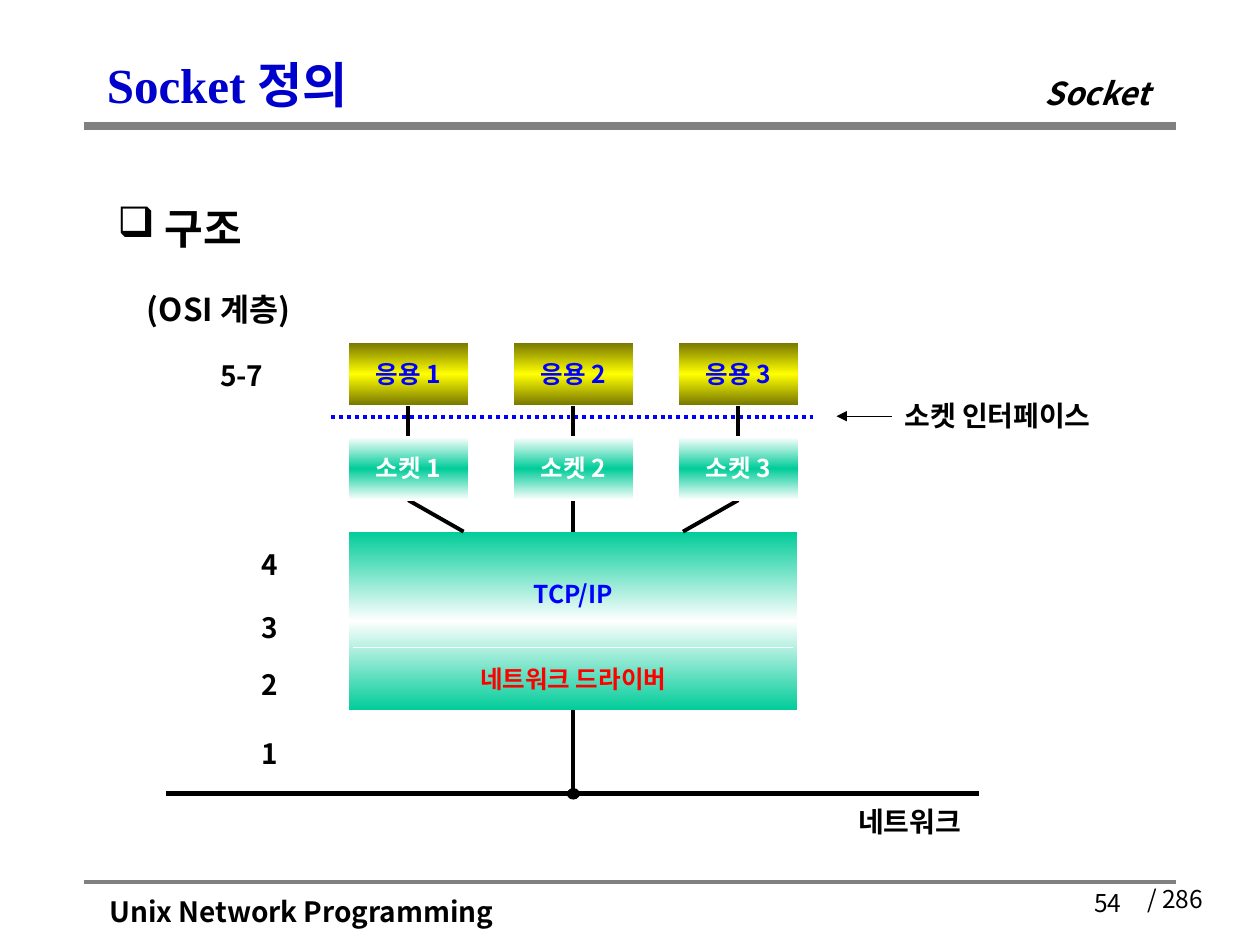
from copy import deepcopy

from lxml import etree
from pptx import Presentation
from pptx.dml.color import RGBColor
from pptx.enum.dml import MSO_LINE
from pptx.enum.shapes import MSO_CONNECTOR, MSO_SHAPE
from pptx.enum.text import MSO_ANCHOR, MSO_AUTO_SIZE, PP_ALIGN
from pptx.oxml.ns import qn
from pptx.util import Pt

BLACK = RGBColor(0x00, 0x00, 0x00)
WHITE = RGBColor(0xFF, 0xFF, 0xFF)
GRAY = RGBColor(0x80, 0x80, 0x80)
BLUE = RGBColor(0x00, 0x00, 0xFF)
NAVY = RGBColor(0x00, 0x00, 0xCC)
RED = RGBColor(0xFF, 0x00, 0x00)
OLIVE = RGBColor(0x76, 0x76, 0x00)
YELLOW = RGBColor(0xFF, 0xFF, 0x00)
GREEN = RGBColor(0x00, 0xCC, 0x99)

LEFT, CENTER, RIGHT = PP_ALIGN.LEFT, PP_ALIGN.CENTER, PP_ALIGN.RIGHT
TOP, MIDDLE = MSO_ANCHOR.TOP, MSO_ANCHOR.MIDDLE
GROW, FIXED = MSO_AUTO_SIZE.SHAPE_TO_FIT_TEXT, MSO_AUTO_SIZE.NONE
RECTANGLE, OVAL = MSO_SHAPE.RECTANGLE, MSO_SHAPE.OVAL
STRAIGHT = MSO_CONNECTOR.STRAIGHT
DOTTED = MSO_LINE.ROUND_DOT

SANS = "Noto Sans CJK KR"
SERIF = "Times New Roman"


class SlideBuilder:
    """Holds the text style and the current slide; lengths are points."""

    def __init__(self, page):
        self.page = page
        self.font = SANS
        self.color = BLACK

    def text(self, words, left, top, width, height, size=16, color=None,
             font=None, bold=True, italic=False, align=LEFT, anchor=TOP,
             wrap=True, fit=GROW, bullet=None):
        box = self.page.shapes.add_textbox(
            Pt(left), Pt(top), Pt(width), Pt(height))
        frame = box.text_frame
        frame.word_wrap = wrap
        frame.auto_size = fit
        frame.vertical_anchor = anchor
        para = frame.paragraphs[0]
        para.alignment = align
        if bullet:
            props = para._p.get_or_add_pPr()
            props.set("marL", str(Pt(27)))
            props.set("indent", str(-Pt(27)))
            etree.SubElement(props, qn("a:buChar"), char=bullet)
        span = para.add_run()
        span.text = words
        span.font.size = Pt(size)
        span.font.bold = bold
        span.font.italic = italic
        span.font.color.rgb = color or self.color
        span.font.name = font or self.font
        etree.SubElement(span.font._element, qn("a:ea"), typeface=self.font)

    def shape(self, kind, left, top, width, height, edge):
        shape = self.page.shapes.add_shape(
            kind, Pt(left), Pt(top), Pt(width), Pt(height))
        shape.shadow.inherit = False
        shape.line.color.rgb = edge
        shape.line.width = Pt(0.75)
        return shape

    def block(self, left, top, width, height, outer, inner):
        """Rectangle shaded vertically from outer to inner and back."""
        fill = self.shape(RECTANGLE, left, top, width, height, WHITE).fill
        fill.gradient()
        fill.gradient_angle = 90
        stop_list = fill._xPr.find(qn("a:gradFill")).find(qn("a:gsLst"))
        stop_list.append(deepcopy(stop_list[0]))
        shades = zip(fill.gradient_stops, (0, 0.5, 1), (outer, inner, outer))
        for stop, position, color in shades:
            stop.position = position
            stop.color.rgb = color

    def dot(self, left, top, width, height):
        fill = self.shape(OVAL, left, top, width, height, BLACK).fill
        fill.solid()
        fill.fore_color.rgb = BLACK

    def line(self, x1, y1, x2, y2, width=2.25, color=None, dash=None,
             arrow=False):
        line = self.page.shapes.add_connector(
            STRAIGHT, Pt(x1), Pt(y1), Pt(x2), Pt(y2))
        line.line.color.rgb = color or self.color
        line.line.width = Pt(width)
        if dash:
            line.line.dash_style = dash
        if arrow:
            etree.SubElement(line.line._get_or_add_ln(), qn("a:tailEnd"),
                             type="triangle")
        etree.SubElement(line._element.spPr, qn("a:effectLst"))


def main():
    deck = Presentation()
    deck.slide_width, deck.slide_height = Pt(720), Pt(540)
    slide = SlideBuilder(deck.slides.add_slide(deck.slide_layouts[6]))

    # Header and footer
    slide.line(48, 504, 672, 504, color=GRAY)
    slide.line(48, 72, 672, 72, width=4.5, color=GRAY)
    slide.text("Unix Network Programming", 55.5, 507.6, 240.5, 26.6,
               wrap=False)
    slide.text("/ 286", 648.5, 501.8, 47.5, 24.5, size=14, bold=False,
               wrap=False)
    slide.text("54", 498, 504, 150, 36, size=14, bold=False, align=RIGHT,
               fit=FIXED)
    slide.text("Socket 정의", 54, 24, 612, 48, size=28, color=NAVY,
               font=SERIF, anchor=MIDDLE, fit=FIXED)
    slide.text("Socket", 589.7, 39, 75.6, 28.8, size=18, italic=True,
               wrap=False)

    # Section heading
    slide.text("구조", 60, 112, 612, 372, size=24, fit=FIXED, bullet="❑")

    # Protocol stack and network line
    middle, step, stack_left, stack_width = 327.6, 94.3, 198.8, 257.2
    stack_top, stack_bottom, network = 303.8, 406, 453.6
    slide.block(stack_left, stack_top, stack_width,
                stack_bottom - stack_top, GREEN, WHITE)
    slide.line(201.6, 370, 452.9, 370, width=0.75, color=WHITE)
    slide.line(95, network, 559.5, network, width=3)
    slide.line(middle, stack_bottom, middle, network)
    slide.dot(middle - 3.3, network - 2.9, 6.6, 5.8)
    for label, top, color in (("네트워크 드라이버", 375.8, RED),
                              ("TCP/IP", 327.6, BLUE)):
        slide.text(label, middle - 69, top, 138, 24.5, size=14, color=color,
                   align=CENTER)

    # Applications, each joined to its socket and the stack
    app_top, socket_top, box_width, box_height = 195.8, 249.8, 68.8, 36
    slide.line(189.4, 238.3, 465.8, 238.3, color=BLUE, dash=DOTTED)
    for number in (1, 2, 3):
        offset = number - 2
        x = middle + offset * step
        slide.line(x, app_top + box_height, x, socket_top)
        slide.line(x, socket_top + box_height,
                   middle + offset * 62.7, stack_top)
        for name, top, outer, inner, color in (
                ("응용", app_top, OLIVE, YELLOW, BLUE),
                ("소켓", socket_top, WHITE, GREEN, WHITE)):
            slide.block(x - box_width / 2, top, box_width, box_height,
                        outer, inner)
            slide.text(f"{name} {number}", x - 31.3, top + 5.8, 62.6, 24.5,
                       size=14, color=color, align=CENTER)

    # Side labels
    slide.text("소켓 인터페이스", 509.8, 224, 148.3, 26.6)
    slide.line(509.8, 237.8, 478, 237.8, width=0.75, arrow=True)
    slide.text("네트워크", 460, 456.5, 119.5, 26.6, align=CENTER)

    # OSI layers
    slide.text("(OSI 계층)", 54, 162, 141.8, 28.8, size=18, align=CENTER)
    slide.text("5-7", 105.8, 201.6, 64.8, 26.6, align=CENTER)
    for layer, top in (("4", 309.6), ("3", 345.6), ("2", 378), ("1", 417.6)):
        slide.text(layer, 138.2, top, 32.4, 26.6, align=CENTER)

    deck.save("out.pptx")


if __name__ == "__main__":
    main()
